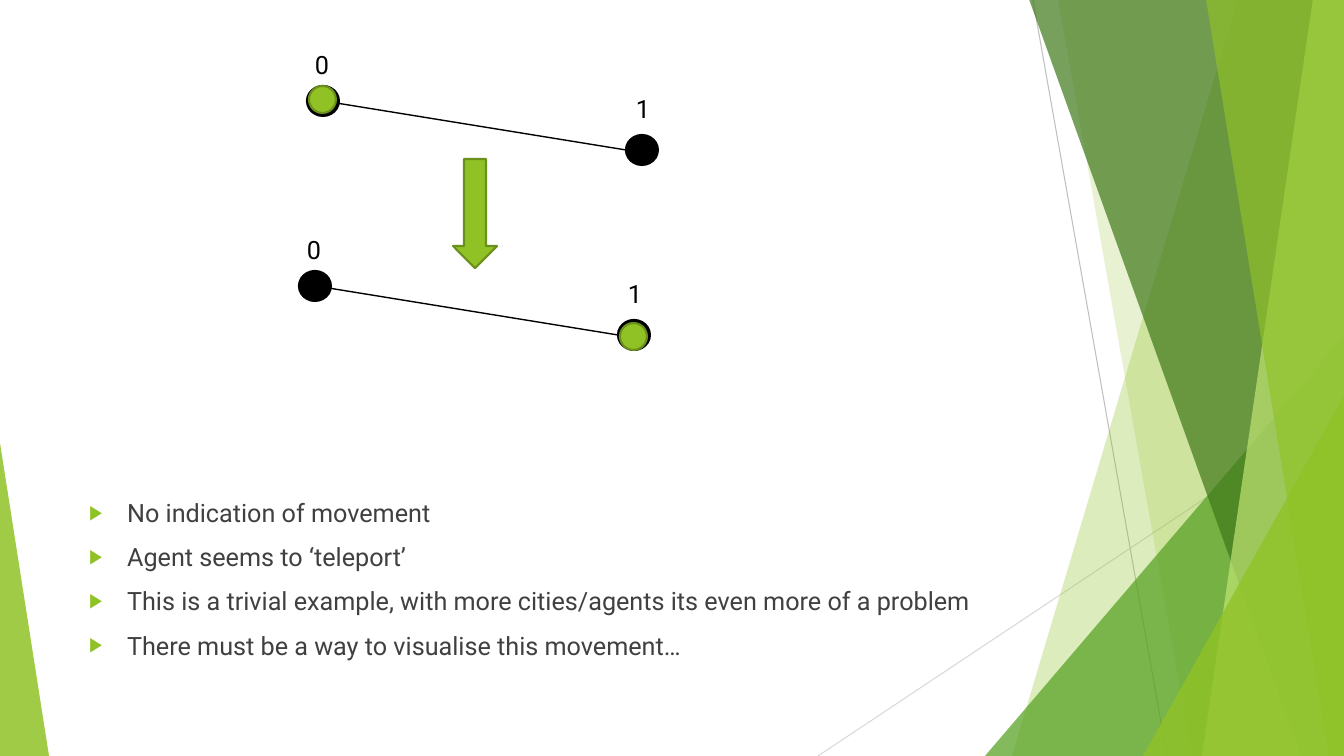
from lxml.etree import SubElement
from pptx import Presentation
from pptx.dml.color import RGBColor
from pptx.enum.shapes import MSO_CONNECTOR, MSO_SHAPE
from pptx.enum.text import MSO_ANCHOR, MSO_AUTO_SIZE, PP_ALIGN
from pptx.oxml.ns import qn
from pptx.util import Emu, Pt

WIDE, HIGH = 1344, 756
LIME, EDGE, BLACK = "90C226", "6B901C", "000000"
POINTS = [
    "No indication of movement",
    "Agent seems to ‘teleport’",
    "This is a trivial example, with more cities/agents its even more of a problem",
    "There must be a way to visualise this movement…",
]
BODY = (79, 492, 943, 173)
RAYS = [((1033, 0), (1167, 756), "BFBFBF"), ((1344, 406), (818, 756), "D9D9D9")]
DECOR = [
    ("band", (1238, 1012), LIME, 30),
    ("band", (1058, 1192), LIME, 20),
    ("wedge", (985, 336, 359, 420), 1, "54A021", 72),
    ("band", (1029, 1301), "3F7819", 70),
    ("band", (1313, 1202), "C0E474", 70),
    ("band", (1206, 1329), LIME, 65),
    ("wedge", (1143, 396, 201, 360), 1, LIME, 80),
    ("wedge", (0, 443, 49, 313), 0, LIME, 85),
]
CITIES = [("0", (307, 86), (305, 44)), ("1", (626, 135), (626, 88))]
ROAD = ((324, 101), (626, 150))
STEPS = [((0, 0), (309, 86)), ((-8, 185), (620, 323))]
NODE, LABEL, AGENT = (32, 30), (32, 40), (27, 27)
ARROW = (453, 159, 44, 109)


def px(num):
    return Emu(round(num * 914400 / 100.8))


def hue(code):
    return RGBColor.from_string(code)


def put(item, **vals):
    for key, val in vals.items():
        setattr(item, key, val)


def move(spot, by):
    return spot[0] + by[0], spot[1] + by[1]


def paint(shape, code, edge=None, alpha=100):
    shape.shadow.inherit = False
    shape.fill.solid()
    shape.fill.fore_color.rgb = hue(code)
    if alpha < 100:
        tint = shape.fill._xPr.find(".//" + qn("a:srgbClr"))
        SubElement(tint, qn("a:alpha"), val=str(alpha * 1000))
    if edge:
        shape.line.color.rgb = hue(edge)
        shape.line.width = Pt(1.5)
    else:
        shape.line.fill.background()


def draw(kind, box, *look):
    shape = shapes.add_shape(kind, *map(px, box))
    paint(shape, *look)
    return shape


def band(ends, code, alpha):
    top, low = ends
    pen = shapes.build_freeform(top, -1, scale=914400 / 100.8)
    pen.add_line_segments([(WIDE, -1), (WIDE, HIGH), (low, HIGH)], close=True)
    paint(pen.convert_to_shape(), code, None, alpha)


def wedge(box, tip, code, alpha):
    draw(MSO_SHAPE.ISOSCELES_TRIANGLE, box, code, None, alpha).adjustments[0] = tip


def rule(start, end, code, width):
    line = shapes.add_connector(MSO_CONNECTOR.STRAIGHT, *map(px, start + end))
    line.line.color.rgb = hue(code)
    line.line.width = Pt(width)
    SubElement(line._element.spPr, qn("a:effectLst"))


def write(para, text, code):
    run = para.add_run()
    run.text = text
    put(run.font, name="Roboto", size=Pt(18))
    run.font.color.rgb = hue(code)


def bullet(para):
    put(para, space_before=Pt(10), line_spacing=1.0, alignment=PP_ALIGN.LEFT)
    props = para._p.get_or_add_pPr()
    props.set("marL", str(px(38)))
    props.set("indent", str(-px(38)))
    SubElement(SubElement(props, qn("a:buClr")), qn("a:srgbClr"), val=LIME)
    SubElement(props, qn("a:buSzPct"), val="80000")
    SubElement(props, qn("a:buChar"), char="▶")


deck = Presentation()
put(deck, slide_width=px(WIDE), slide_height=px(HIGH))
slide = deck.slides.add_slide(deck.slide_layouts[1])
shapes = slide.shapes
title = shapes.title._element
title.getparent().remove(title)

for start, end, code in RAYS:
    rule(start, end, code, 0.75)
for kind, *args in DECOR:
    {"band": band, "wedge": wedge}[kind](*args)

body = slide.placeholders[1]
put(body, **dict(zip(("left", "top", "width", "height"), map(px, BODY))))
frame = body.text_frame
put(frame, auto_size=MSO_AUTO_SIZE.NONE, word_wrap=True, vertical_anchor=MSO_ANCHOR.TOP)
for num, text in enumerate(POINTS):
    para = frame.add_paragraph() if num else frame.paragraphs[0]
    bullet(para)
    write(para, text, "404040")

for by, agent in STEPS:
    rule(*(move(spot, by) for spot in ROAD), BLACK, 1)
    for name, spot, tag in CITIES:
        draw(MSO_SHAPE.OVAL, move(spot, by) + NODE, BLACK, BLACK)
        label = shapes.add_textbox(*map(px, move(tag, by) + LABEL)).text_frame
        label.word_wrap = True
        write(label.paragraphs[0], name, BLACK)
    draw(MSO_SHAPE.OVAL, agent + AGENT, LIME, EDGE)
draw(MSO_SHAPE.DOWN_ARROW, ARROW, LIME, EDGE)

deck.save("out.pptx")
